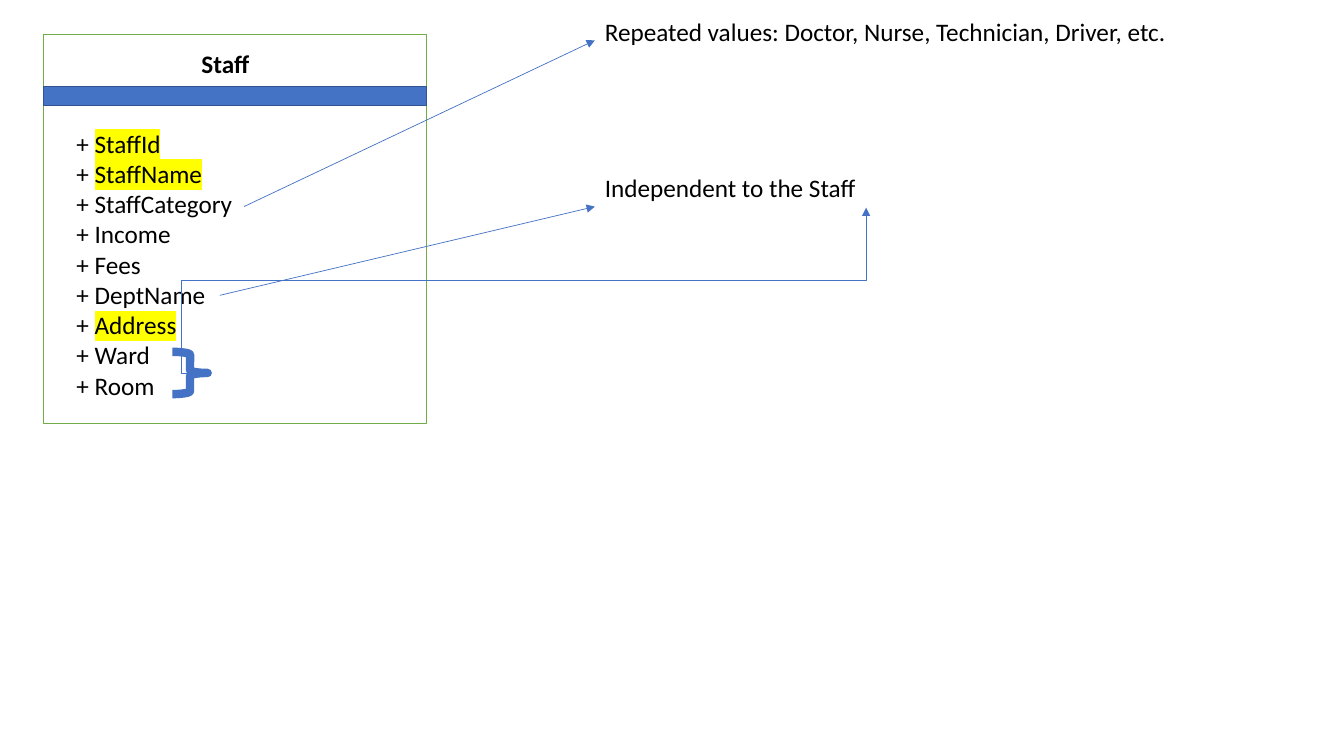
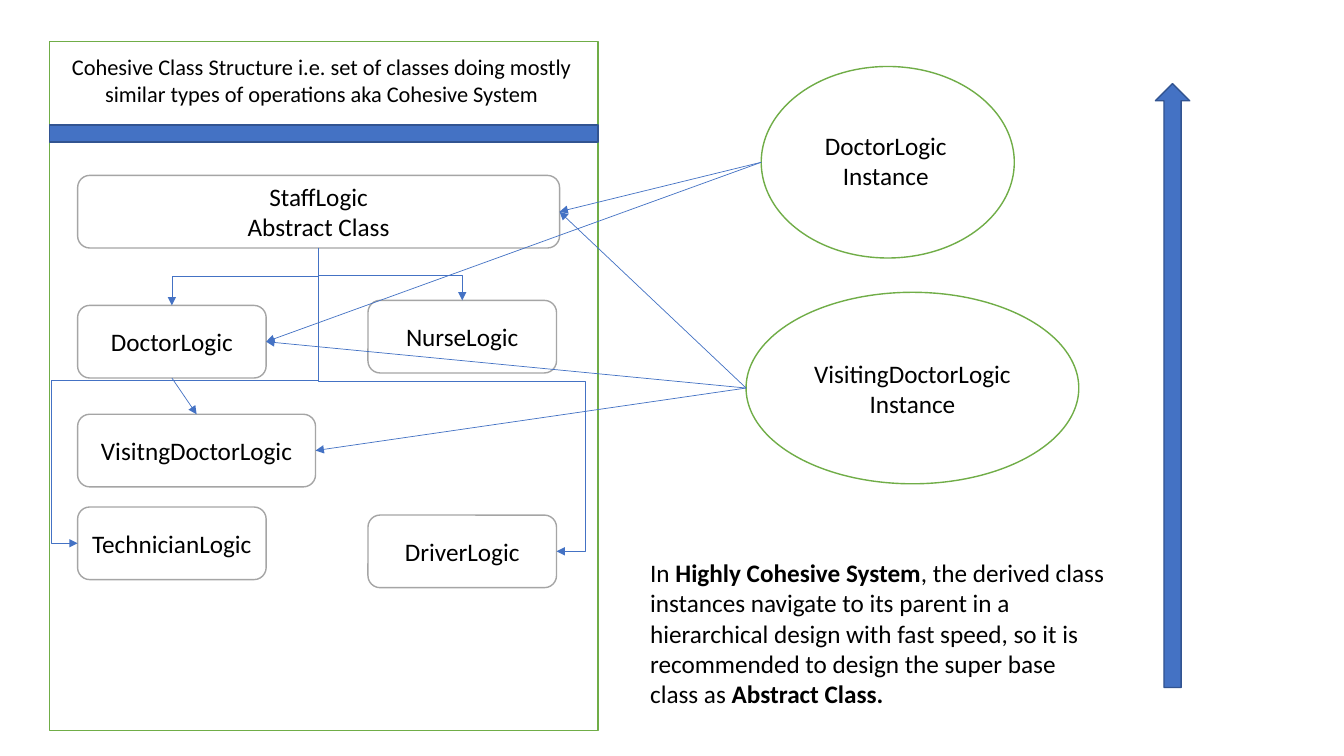
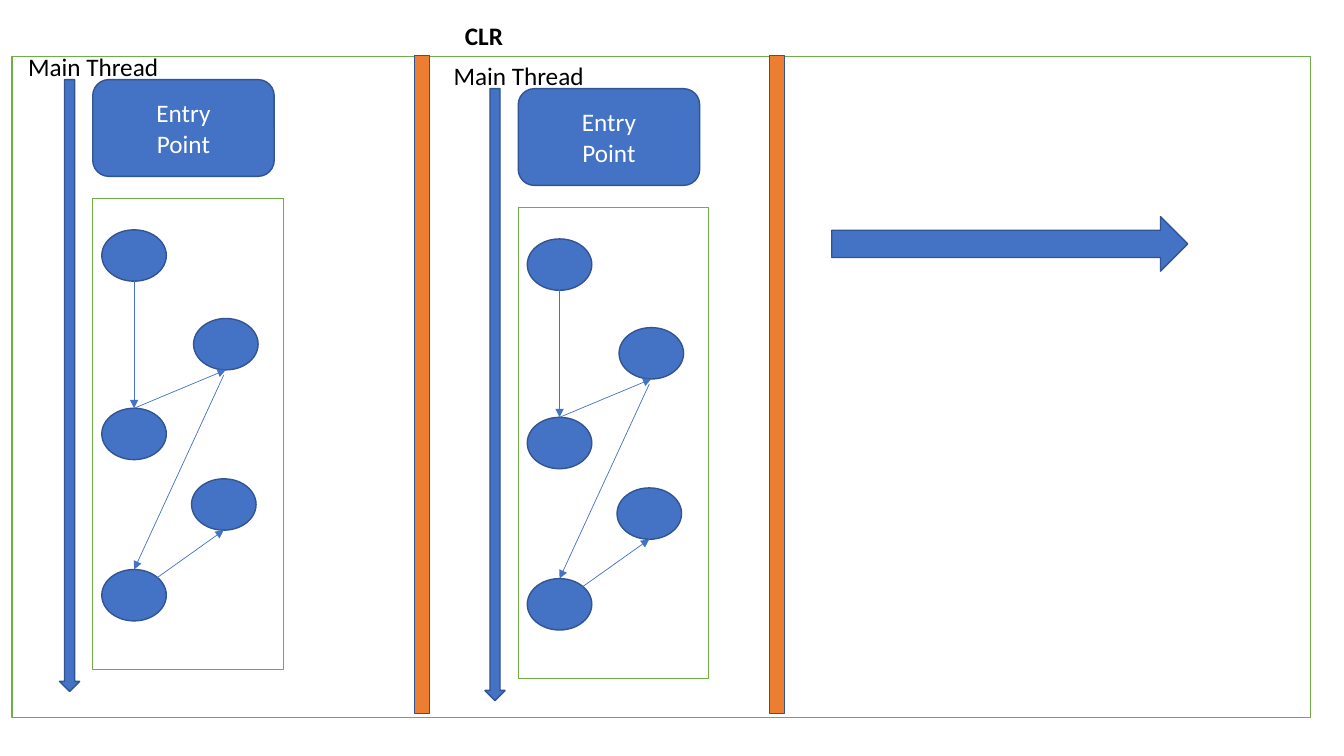
from dataclasses import dataclass
from typing import NamedTuple

from lxml.etree import SubElement as Sub
from pptx import Presentation
from pptx.dml.color import RGBColor as RGB
from pptx.enum.shapes import MSO_CONNECTOR as Link, MSO_SHAPE as Kind
from pptx.enum.text import MSO_ANCHOR as Anchor, MSO_AUTO_SIZE as Fit, PP_ALIGN as Align
from pptx.oxml.ns import qn
from pptx.util import Inches, Pt


@dataclass(frozen=True)
class Theme:
    font: str = "Calibri"
    body: int = 18
    small: int = 16
    edge: float = 1
    thin: float = 0.5
    thick: float = 6
    black: str = "000000"
    white: str = "FFFFFF"
    blue: str = "4472C4"
    navy: str = "325491"
    green: str = "70AD47"
    gray: str = "A5A5A5"
    orange: str = "ED7D31"
    mark: str = "FFFF00"


class Box(NamedTuple):
    x: float
    y: float
    w: float
    h: float

    @property
    def top(self):
        return self.x + self.w / 2, self.y

    @property
    def foot(self):
        return self.x + self.w / 2, self.y + self.h

    @property
    def left(self):
        return self.x, self.y + self.h / 2

    @property
    def right(self):
        return self.x + self.w, self.y + self.h / 2

    def inch(self):
        return [Inches(v) for v in self]


T = Theme()
LOOKS = {
    "card": (T.white, T.green),
    "node": (T.white, T.gray),
    "solid": (T.blue, T.navy),
    "wall": (T.orange, T.navy),
}


class Deck:
    def __init__(self):
        self.prs = Presentation()
        self.prs.slide_width = Inches(13.33)
        self.prs.slide_height = Inches(7.5)
        self.page = None

    def start(self):
        self.page = self.prs.slides.add_slide(self.prs.slide_layouts[6]).shapes

    def words(self, frame, paras, align, size=T.body, color=T.black, bold=False):
        frame.word_wrap = True
        for n, runs in enumerate(paras):
            para = frame.paragraphs[0] if n == 0 else frame.add_paragraph()
            para.alignment = align
            for part in [runs] if isinstance(runs, str) else runs:
                text, style = (part, "") if isinstance(part, str) else part
                run = para.add_run()
                run.text = text
                form = {"name": T.font, "size": Pt(size), "bold": bold or style == "bold"}
                for key, value in form.items():
                    setattr(run.font, key, value)
                run.font.color.rgb = RGB.from_string(color)
                if style == "mark":
                    props = run._r.get_or_add_rPr()
                    mark = props.makeelement(qn("a:highlight"))
                    Sub(mark, qn("a:srgbClr"), val=T.mark)
                    props.find(qn("a:solidFill")).addnext(mark)

    def text(self, box, *paras, align=Align.LEFT, **form):
        frame = self.page.add_textbox(*box.inch()).text_frame
        frame.auto_size = Fit.SHAPE_TO_FIT_TEXT
        self.words(frame, paras, align, **form)

    def shape(self, kind, box, look, *paras, color=T.black):
        item = self.page.add_shape(kind, *box.inch())
        item.shadow.inherit = False
        fill, line = LOOKS[look]
        item.fill.solid()
        item.fill.fore_color.rgb = RGB.from_string(fill)
        item.line.color.rgb = RGB.from_string(line)
        item.line.width = Pt(T.edge)
        item.text_frame.vertical_anchor = Anchor.MIDDLE
        if paras:
            self.words(item.text_frame, paras, Align.CENTER, color=color)

    def brace(self, box):
        item = self.page.add_shape(Kind.RIGHT_BRACE, *box.inch())
        item.shadow.inherit = False
        item.fill.background()
        item.line.color.rgb = RGB.from_string(T.blue)
        item.line.width = Pt(T.thick)

    def panel(self, box, y, h):
        self.shape(Kind.RECTANGLE, box, "card")
        self.shape(Kind.RECTANGLE, Box(box.x, y, box.w, h), "solid")

    def arrow(self, start, end, kind=Link.STRAIGHT):
        line = self.page.add_connector(kind, *[Inches(v) for v in (*start, *end)])
        line.line.color.rgb = RGB.from_string(T.blue)
        line.line.width = Pt(T.thin)
        props = line._element.spPr
        Sub(props.find(qn("a:ln")), qn("a:tailEnd"), type="triangle")
        Sub(props, qn("a:effectLst"))
        return props

    def bend(self, start, end, turn, flip, *bends):
        (ax, ay), (bx, by) = start, end
        w, h = abs(bx - ax), abs(by - ay)
        if turn % 180:
            w, h = h, w
        x, y = (ax + bx - w) / 2, (ay + by - h) / 2
        props = self.arrow((x, y), (x + w, y + h), Link.ELBOW)
        frame = props.find(qn("a:xfrm"))
        frame.set("rot", str(turn * 60000))
        if flip:
            frame.set("flipH", "1")
        geom = props.find(qn("a:prstGeom"))
        geom.set("prst", f"bentConnector{2 + len(bends)}")
        guides = geom.find(qn("a:avLst"))
        if guides is None:
            guides = Sub(geom, qn("a:avLst"))
        for n, part in enumerate(bends, 1):
            Sub(guides, qn("a:gd"), name=f"adj{n}", fmla=f"val {round(part * 100000)}")


def staff(deck):
    deck.start()
    deck.panel(Box(0.43, 0.34, 3.8, 3.86), 0.86, 0.19)
    deck.text(Box(0.66, 0.43, 3.15, 0.4), "Staff", align=Align.CENTER, bold=True)
    fields = ("StaffId", "StaffName", "StaffCategory", "Income", "Fees",
              "DeptName", "Address", "Ward", "Room")
    marked = {"StaffId", "StaffName", "Address"}
    rows = [["+ ", (f, "mark")] if f in marked else "+ " + f for f in fields]
    deck.text(Box(0.66, 1.22, 3.43, 2.83), *rows)
    deck.arrow((2.42, 2.05), (5.9, 0.4))
    deck.text(Box(5.9, 0.11, 5.91, 0.4),
              "Repeated values: Doctor, Nurse, Technician, Driver, etc.")
    deck.arrow((2.18, 2.93), (5.9, 2.05))
    deck.text(Box(5.9, 1.66, 5.38, 0.4), "Independent to the Staff")
    brace = Box(1.71, 3.49, 0.35, 0.42)
    deck.brace(brace)
    deck.bend(brace.right, (8.59, 2.06), 180, True, -0.04, 0.56)


def logic(deck):
    deck.start()
    deck.panel(Box(0.49, 0.41, 5.44, 6.84), 1.24, 0.17)
    deck.text(Box(0.58, 0.48, 5.22, 0.64),
              "Cohesive Class Structure i.e. set of classes doing mostly "
              "similar types of operations aka Cohesive System",
              align=Align.CENTER, size=T.small)
    high = 0.72
    base = Box(0.77, 1.74, 4.78, high)
    doctor = Box(0.77, 3.03, 1.87, high)
    nurse = Box(3.65, 2.98, 1.87, high)
    tech = Box(0.77, 5.03, 1.87, high)
    driver = Box(3.65, 5.11, 1.87, high)
    visit = Box(0.77, 4.11, 2.36, high)
    for box, *lines in (
        (base, "StaffLogic", "Abstract Class"),
        (doctor, "DoctorLogic"),
        (nurse, "NurseLogic"),
        (tech, "TechnicianLogic"),
        (driver, "DriverLogic"),
        (visit, "VisitngDoctorLogic"),
    ):
        deck.shape(Kind.ROUNDED_RECTANGLE, box, "node", *lines)
    for end, turn, flip, *bends in (
        (doctor.top, 90, False, 0.5),
        (nurse.top, 270, True, 0.52),
        (tech.left, 90, False, 0.45, 1.11),
        (driver.right, 270, True, 0.44, 1.12),
    ):
        deck.bend(base.foot, end, turn, flip, *bends)
    first = Box(7.55, 0.66, 2.51, 1.9)
    second = Box(7.4, 2.9, 3.3, 1.9)
    deck.shape(Kind.OVAL, first, "card")
    deck.text(Box(7.8, 1.24, 1.97, 1.01), "DoctorLogic Instance", align=Align.CENTER)
    deck.shape(Kind.OVAL, second, "card", "VisitingDoctorLogic Instance")
    for start, end in (
        (doctor.foot, visit.top),
        (first.left, doctor.right),
        (first.left, base.right),
        (second.left, visit.right),
        (second.left, doctor.right),
        (second.left, base.right),
    ):
        deck.arrow(start, end)
    deck.shape(Kind.UP_ARROW, Box(11.46, 0.83, 0.34, 5.99), "solid")
    deck.text(Box(6.35, 5.48, 4.7, 1.62), [
        "In ", ("Highly Cohesive System", "bold"),
        ", the derived class instances navigate to its parent in a hierarchical "
        "design with fast speed, so it is recommended to design the super base class as ",
        ("Abstract Class.", "bold"),
    ])


def lane(deck, x, y):
    deck.shape(Kind.DOWN_ARROW, Box(x + 0.41, y + 0.33, 0.2, 6.07), "solid")
    deck.text(Box(x, y, 3.53, 0.4), "Main Thread")
    deck.shape(Kind.ROUNDED_RECTANGLE, Box(x + 0.74, y + 0.33, 1.8, 0.96), "solid",
               "Entry", "Point", color=T.white)
    deck.shape(Kind.RECTANGLE, Box(x + 0.74, y + 1.51, 1.89, 4.67), "card")
    spots = (0.83, 1.82), (1.74, 2.7), (0.83, 3.59), (1.72, 4.29), (0.83, 5.19)
    dots = [Box(x + dx, y + dy, 0.64, 0.51) for dx, dy in spots]
    for dot in dots:
        deck.shape(Kind.OVAL, dot, "solid")
    one, two, three, four, five = dots
    deck.arrow(one.foot, three.top)
    deck.arrow(three.top, two.foot)
    deck.arrow((x + 2.04, y + 3.26), five.top)
    deck.arrow((x + 1.38, y + 5.27), four.foot)


def threads(deck):
    deck.start()
    deck.shape(Kind.RECTANGLE, Box(0.12, 0.56, 12.88, 6.56), "card")
    deck.text(Box(3.21, 0.15, 3.18, 0.4), "CLR", align=Align.CENTER, bold=True)
    for x, y in (0.18, 0.46), (4.4, 0.55):
        lane(deck, x, y)
    for x in 4.11, 7.63:
        deck.shape(Kind.RECTANGLE, Box(x, 0.55, 0.15, 6.53), "wall")
    deck.shape(Kind.RIGHT_ARROW, Box(8.25, 2.15, 3.53, 0.54), "solid")


def main():
    deck = Deck()
    for draw in staff, logic, threads:
        draw(deck)
    deck.prs.save("out.pptx")


if __name__ == "__main__":
    main()
